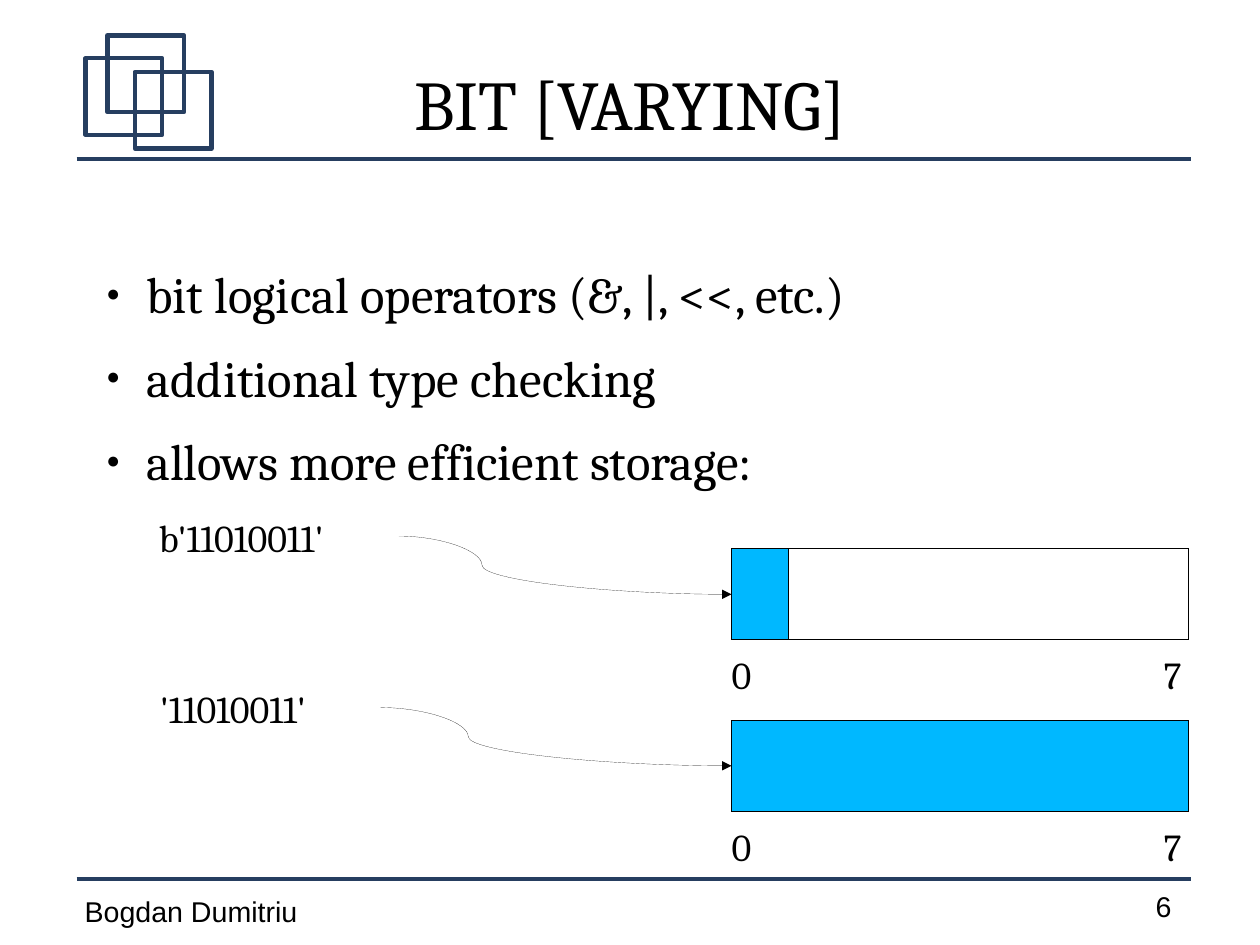
from lxml import etree
from pptx import Presentation
from pptx import util as u
from pptx.dml.color import RGBColor
from pptx.enum import shapes, text
from pptx.oxml.ns import qn

PX = 9144  # EMU per px, 100 px to the inch
NAVY = RGBColor(0x26, 0x3E, 0x60)
BLACK = RGBColor(0, 0, 0)
CYAN = RGBColor(0x00, 0xB8, 0xFF)
SERIF, SANS = "Cambria", "Arial"
RULE_WIDTH, HAIRLINE = 2.83, 0


def px(*lengths):
    return [u.Emu(length * PX) for length in lengths]


class SlideBuilder:
    def __init__(self, slide):
        self.slide = slide

    def text(self, box, *lines, font=SERIF, size=24, color=BLACK,
             align=text.PP_ALIGN.LEFT, anchor=text.MSO_ANCHOR.TOP,
             bullet=None, space_after=0):
        frame = self.slide.shapes.add_textbox(*px(*box)).text_frame
        frame.word_wrap = True
        frame.vertical_anchor = anchor
        frame.margin_left = frame.margin_right = 0
        frame.margin_top = frame.margin_bottom = 0
        for index, line in enumerate(lines):
            paragraph = frame.paragraphs[0] if index == 0 else frame.add_paragraph()
            paragraph.text = line
            paragraph.alignment = align
            paragraph.space_after = u.Pt(space_after)
            if bullet:
                self.add_bullet(paragraph, bullet)
            run_font = paragraph.runs[0].font
            run_font.name, run_font.size = font, u.Pt(size)
            run_font.color.rgb = color

    def add_bullet(self, paragraph, character):
        properties = paragraph._p.get_or_add_pPr()
        left, indent = px(47, -35)
        properties.set("marL", str(left))
        properties.set("indent", str(indent))
        etree.SubElement(properties, qn("a:buSzPct")).set("val", "45000")
        etree.SubElement(properties, qn("a:buFont")).set("typeface", SANS)
        etree.SubElement(properties, qn("a:buChar")).set("char", character)

    def outline(self, line, color, width):
        line.color.rgb = color
        # The width property drops a zero, so the attribute is set directly
        line._get_or_add_ln().set("w", str(int(u.Pt(width))))

    def rectangle(self, box, fill=None, line=BLACK, width=HAIRLINE):
        shape = self.slide.shapes.add_shape(shapes.MSO_SHAPE.RECTANGLE, *px(*box))
        shape.shadow.inherit = False
        if fill is None:
            shape.fill.background()
        else:
            shape.fill.solid()
            shape.fill.fore_color.rgb = fill
        self.outline(shape.line, line, width)

    def connector(self, kind, ends, color, width):
        connector = self.slide.shapes.add_connector(kind, *px(*ends))
        self.outline(connector.line, color, width)
        etree.SubElement(connector._element.spPr, qn("a:effectLst"))
        return connector

    def rule(self, y):
        self.connector(shapes.MSO_CONNECTOR.STRAIGHT, (67, y, 1042, y), NAVY, RULE_WIDTH)

    def curved_arrow(self, ends, bend):
        arrow = self.connector(shapes.MSO_CONNECTOR.CURVE, ends, BLACK, HAIRLINE)
        geometry = arrow._element.spPr.find(qn("a:prstGeom"))
        guide = etree.SubElement(geometry.find(qn("a:avLst")), qn("a:gd"))
        guide.set("name", "adj1")
        guide.set("fmla", f"val {round(bend * 100000)}")
        line = arrow.line._get_or_add_ln()
        etree.SubElement(line, qn("a:tailEnd")).set("type", "triangle")


def main():
    presentation = Presentation()
    presentation.slide_width, presentation.slide_height = u.Cm(28), u.Cm(21)
    slide = presentation.slides.add_slide(presentation.slide_layouts[6])
    builder = SlideBuilder(slide)

    # Rules, footer and corner squares
    for y in (769, 139):
        builder.rule(y)
    builder.text((74, 782, 275, 34), "Bogdan Dumitriu", font=SANS, size=18)
    builder.text((1011, 778, 40, 34), "6", font=SANS, size=18)
    for left, top in ((75, 51), (94, 31), (118, 63)):
        builder.rectangle((left, top, 67, 67), line=NAVY, width=RULE_WIDTH)

    # Title and bullets
    builder.text((81, 21, 941, 138), "BIT [VARYING]", size=44,
                 align=text.PP_ALIGN.CENTER, anchor=text.MSO_ANCHOR.MIDDLE)
    builder.text((81, 230, 941, 211),
                 "bit logical operators (&, |, <<, etc.)",
                 "additional type checking",
                 "allows more efficient storage:",
                 size=32, bullet="●", space_after=14.2)

    # Storage bars: literal, its left edge, arrow start, used width
    bar_left, bar_width, bar_height = 640, 400, 80
    storage = (("b'11010011'", 139, 349, 50), ("'11010011'", 140, 333, bar_width))
    for row, (literal, left, arrow_start, used) in enumerate(storage):
        top = 480 + 150 * row
        middle = top + bar_height // 2
        if used < bar_width:
            builder.rectangle((bar_left, top, bar_width, bar_height))
        builder.rectangle((bar_left, top, used, bar_height), fill=CYAN)
        builder.text((left, top - 30, arrow_start - left, 39), literal)
        builder.curved_arrow((arrow_start, middle - 51, bar_left, middle), bend=0.25)
        for label, label_left in (("0", bar_left), ("7", 1018)):
            builder.text((label_left, top + 90, 29, 39), label)

    presentation.save("out.pptx")


if __name__ == "__main__":
    main()
